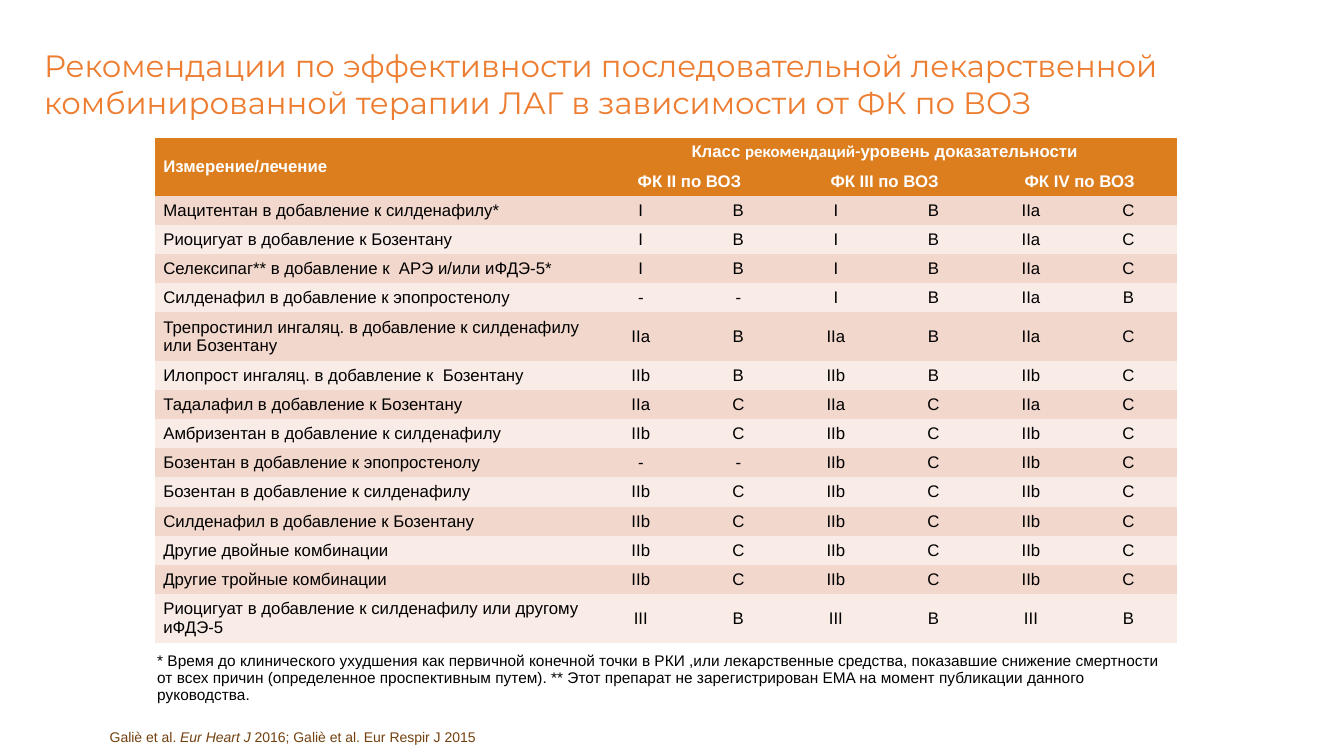
from dataclasses import dataclass

from pptx import Presentation
from pptx.dml.color import RGBColor as RGB
from pptx.enum.text import MSO_ANCHOR as Anchor, PP_ALIGN as Align
from pptx.util import Pt


@dataclass(frozen=True)
class Theme:
    title: str = "ED7D31"
    header: str = "DC7D1E"
    bands: tuple = ("F2D7CC", "F9ECE7")
    white: str = "FFFFFF"
    ink: str = "000000"
    source: str = "73410F"
    title_font: str = "Montserrat"
    body_font: str = "Arial"
    alt_font: str = "Calibri"
    title_size: int = 22
    body_size: int = 12
    note_size: int = 11
    source_size: int = 10
    no_grid: str = "{2D5ABB26-0587-4C30-8999-92F81FD0307C}"


TITLE = ("Рекомендации по эффективности последовательной лекарственной "
         "комбинированной терапии ЛАГ в зависимости от ФК по ВОЗ")
CLASSES = ["ФК II по ВОЗ", "ФК III по ВОЗ", "ФК IV по ВОЗ"]
TREATMENTS = [
    ("Мацитентан в добавление к силденафилу*", "I B I B IIa C"),
    ("Риоцигуат в добавление к Бозентану", "I B I B IIa C"),
    ("Селексипаг** в добавление к  АРЭ и/или иФДЭ-5*", "I B I B IIa C"),
    ("Силденафил в добавление к эпопростенолу", "- - I B IIa B"),
    ("Трепростинил ингаляц. в добавление к силденафилу или Бозентану", "IIa B IIa B IIa C"),
    ("Илопрост ингаляц. в добавление к  Бозентану", "IIb B IIb B IIb C"),
    ("Тадалафил в добавление к Бозентану", "IIa C IIa C IIa C"),
    ("Амбризентан в добавление к силденафилу", "IIb C IIb C IIb C"),
    ("Бозентан в добавление к эпопростенолу", "- - IIb C IIb C"),
    ("Бозентан в добавление к силденафилу", "IIb C IIb C IIb C"),
    ("Силденафил в добавление к Бозентану", "IIb C IIb C IIb C"),
    ("Другие двойные комбинации", "IIb C IIb C IIb C"),
    ("Другие тройные комбинации", "IIb C IIb C IIb C"),
    ("Риоцигуат в добавление к силденафилу или другому иФДЭ-5", "III B III B III B"),
]
NOTE = ("* Время до клинического ухудшения как первичной конечной точки в РКИ ,или "
        "лекарственные средства, показавшие снижение смертности от всех причин "
        "(определенное проспективным путем). ** Этот препарат не зарегистрирован EMA "
        "на момент публикации данного руководства.")
COLS = [312] + [69.7] * 6
ROW, TALL_ROW, NOTE_ROW = 20.8, 35, 50
TWO_LINES = 50


def write(p, text, *, font, size, color, bold=False, italic=False):
    r = p.add_run()
    r.text = text
    f = r.font
    f.name, f.size, f.bold, f.italic = font, Pt(size), bold, italic
    f.color.rgb = RGB.from_string(color)


class SlideBuilder:
    """Hold the theme and the current slide, and add elements to it."""

    def __init__(self, s, theme):
        self.s, self.t = s, theme

    def text(self, box, runs, inset=7.2, spacing=None, **fmt):
        tf = self.s.shapes.add_textbox(*map(Pt, box)).text_frame
        tf.word_wrap = True
        tf.margin_left = Pt(inset)
        p = tf.paragraphs[0]
        p.line_spacing = spacing
        for text, extra in runs:
            write(p, text, **{**fmt, **extra})

    def cell(self, cell, runs, fill=None, left=1.44, align=Align.LEFT, **fmt):
        cell.margin_left = Pt(left)
        cell.margin_right = cell.margin_top = cell.margin_bottom = Pt(1.44)
        cell.vertical_anchor = Anchor.MIDDLE
        if fill:
            cell.fill.solid()
            cell.fill.fore_color.rgb = RGB.from_string(fill)
        else:
            cell.fill.background()
        p = cell.text_frame.paragraphs[0]
        p.alignment = align
        base = dict(font=self.t.body_font, size=self.t.body_size, color=self.t.ink)
        for text, extra in runs:
            write(p, text, **{**base, **fmt, **extra})

    def table(self, x, y, cols, rows):
        sp = self.s.shapes.add_table(len(rows), len(cols), Pt(x), Pt(y),
                                     Pt(sum(cols)), Pt(sum(rows)))
        tbl = sp.table
        tbl.first_row = tbl.horz_banding = False
        tbl._tbl.tblPr[0].text = self.t.no_grid
        for col, width in zip(tbl.columns, cols):
            col.width = Pt(width)
        for row, height in zip(tbl.rows, rows):
            row.height = Pt(height)
        return tbl

    def header(self, tbl):
        t = self.t
        fmt = dict(fill=t.header, color=t.white, bold=True)
        tbl.cell(0, 0).merge(tbl.cell(1, 0))
        self.cell(tbl.cell(0, 0), [("Измерение/лечение", {})], left=5.8, **fmt)
        tbl.cell(0, 1).merge(tbl.cell(0, 6))
        self.cell(tbl.cell(0, 1), [("Класс ", {}), ("рекомендаций-", dict(font=t.alt_font)),
                                   ("уровень доказательности", {})],
                  align=Align.CENTER, **fmt)
        for i, name in enumerate(CLASSES):
            c = 1 + 2 * i
            tbl.cell(1, c).merge(tbl.cell(1, c + 1))
            self.cell(tbl.cell(1, c), [(name, {})], align=Align.CENTER, **fmt)

    def treatments(self, tbl):
        for i, (name, grades) in enumerate(TREATMENTS):
            fill = self.t.bands[i % 2]
            self.cell(tbl.cell(i + 2, 0), [(name, {})], fill, left=5.8)
            for c, grade in enumerate(grades.split(), 1):
                self.cell(tbl.cell(i + 2, c), [(grade, {})], fill, align=Align.CENTER)

    def note(self, tbl):
        last = len(tbl.rows) - 1
        tbl.cell(last, 0).merge(tbl.cell(last, 6))
        self.cell(tbl.cell(last, 0), [(NOTE, {})], size=self.t.note_size)


def main():
    prs = Presentation()
    prs.slide_width, prs.slide_height = Pt(960), Pt(540)
    t = Theme()
    b = SlideBuilder(prs.slides.add_slide(prs.slide_layouts[6]), t)
    b.text((24.5, 29.5, 914.4, 66.2), [(TITLE, {})],
           font=t.title_font, size=t.title_size, color=t.title)
    b.text((67.7, 514, 620, 21), [("Galiè et al. ", {}), ("Eur Heart J", dict(italic=True)),
                                  (" 2016; Galiè et al. Eur Respir J 2015", {})],
           inset=10.7, spacing=1.25, font=t.body_font, size=t.source_size, color=t.source)
    heights = [TALL_ROW if len(name) > TWO_LINES else ROW for name, _ in TREATMENTS]
    tbl = b.table(110.9, 98.3, COLS, [ROW, ROW, *heights, NOTE_ROW])
    b.header(tbl)
    b.treatments(tbl)
    b.note(tbl)
    prs.save("out.pptx")


if __name__ == "__main__":
    main()
